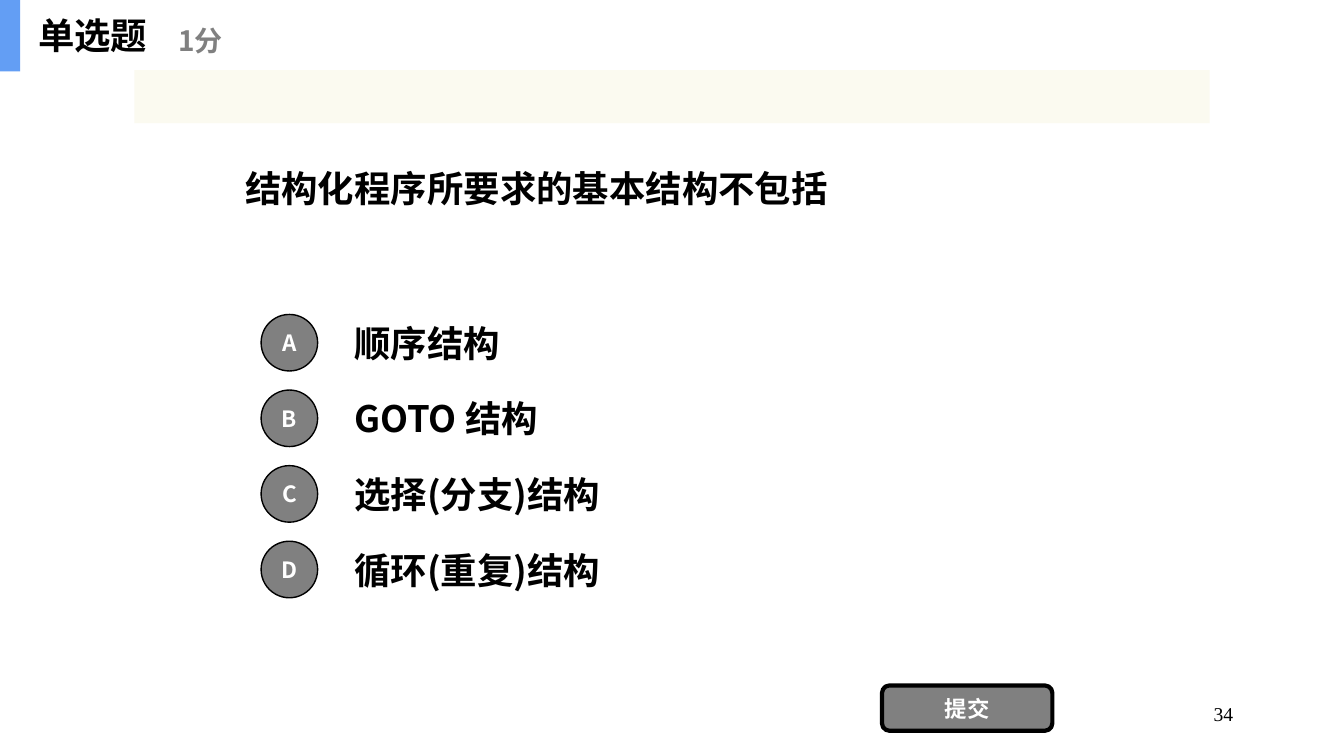
from dataclasses import dataclass

import lxml.etree
import pptx
import pptx.dml.color
import pptx.enum.shapes
import pptx.enum.text
import pptx.oxml.ns
import pptx.util

Pt = pptx.util.Pt
RGBColor = pptx.dml.color.RGBColor
Align = pptx.enum.text.PP_ALIGN
Preset = pptx.enum.shapes.MSO_SHAPE
qn = pptx.oxml.ns.qn

BLACK = RGBColor(0x00, 0x00, 0x00)
WHITE = RGBColor(0xFF, 0xFF, 0xFF)
GREY = RGBColor(0x80, 0x80, 0x80)
BLUE = RGBColor(0x63, 0x9E, 0xF4)
CREAM = RGBColor(0xFB, 0xFA, 0xEF)

HEADING_FONT = "Noto Sans CJK SC"
NUMBER_FONT = "Times New Roman"

OPTIONS = ["顺序结构", "GOTO 结构", "选择(分支)结构", "循环(重复)结构"]
OPTION_TOP = 219.6
OPTION_PITCH = 54
OPTION_HEIGHT = 50.4
BADGE_SIZE = 40.4


@dataclass(frozen=True)
class Box:
    left: float
    top: float
    width: float
    height: float

    def lengths(self) -> tuple:
        return Pt(self.left), Pt(self.top), Pt(self.width), Pt(self.height)


@dataclass(frozen=True)
class Label:
    box: Box
    text: str
    size: float = 26
    color: RGBColor = BLACK
    font: str = HEADING_FONT
    bold: bool = True
    align: Align = Align.LEFT


@dataclass(frozen=True)
class Panel:
    box: Box
    preset: Preset
    fill: RGBColor
    outline: float = 0
    text: str = ""
    opacity: int = 100


def write_text(frame, label: Label) -> None:
    frame.vertical_anchor = pptx.enum.text.MSO_ANCHOR.MIDDLE
    frame.text = label.text
    paragraph = frame.paragraphs[0]
    paragraph.alignment = label.align
    font = paragraph.runs[0].font
    font.size = Pt(label.size)
    font.bold = label.bold
    font.color.rgb = label.color
    font.name = label.font
    east_asian = lxml.etree.SubElement(font._element, qn("a:ea"))
    east_asian.set("typeface", label.font)


def draw_label(slide, label: Label) -> None:
    textbox = slide.shapes.add_textbox(*label.box.lengths())
    textbox.text_frame.word_wrap = True
    write_text(textbox.text_frame, label)


def draw_panel(slide, panel: Panel) -> None:
    shape = slide.shapes.add_shape(panel.preset, *panel.box.lengths())
    shape.shadow.inherit = False
    shape.fill.solid()
    shape.fill.fore_color.rgb = panel.fill
    if panel.opacity < 100:
        color = shape._element.spPr.find(qn("a:solidFill")).find(qn("a:srgbClr"))
        alpha = lxml.etree.SubElement(color, qn("a:alpha"))
        alpha.set("val", str(panel.opacity * 1000))
    if panel.outline:
        shape.line.color.rgb = BLACK
        shape.line.width = Pt(panel.outline)
    else:
        shape.line.fill.background()
    if panel.text:
        shape.text_frame.word_wrap = False
        caption = Label(panel.box, panel.text, 16, WHITE, align=Align.CENTER)
        write_text(shape.text_frame, caption)


def draw_options(slide) -> None:
    for index, (letter, answer) in enumerate(zip("ABCD", OPTIONS)):
        top = OPTION_TOP + index * OPTION_PITCH
        badge_top = top + (OPTION_HEIGHT - BADGE_SIZE) / 2
        draw_label(slide, Label(Box(246, top, 546, OPTION_HEIGHT), answer))
        badge = Box(186.5, badge_top, BADGE_SIZE, BADGE_SIZE)
        draw_panel(slide, Panel(badge, Preset.OVAL, GREY, 1, letter))


def main() -> None:
    presentation = pptx.Presentation()
    presentation.slide_width = Pt(960)
    presentation.slide_height = Pt(540)
    slide = presentation.slides.add_slide(presentation.slide_layouts[6])

    page_number = Label(
        Box(688, 492, 200, 36), "34", 14, BLACK, NUMBER_FONT, False, Align.RIGHT
    )
    question = Label(Box(168, 50, 624, 168.5), "结构化程序所要求的基本结构不包括")
    question_type = Label(Box(20.2, 0, 150, 50), "单选题")
    score = Label(Box(120.2, 8.6, 180, 40.4), "1分", 20, GREY)
    submit = Panel(
        Box(630, 489.6, 121.7, 32.4), Preset.ROUNDED_RECTANGLE, GREY, 3, "提交"
    )
    accent_bar = Panel(Box(0, 0, 14.4, 51), Preset.RECTANGLE, BLUE)
    hint_band = Panel(Box(96, 50, 768, 38), Preset.RECTANGLE, CREAM, opacity=90)

    draw_label(slide, page_number)
    draw_label(slide, question)
    draw_options(slide)
    draw_panel(slide, submit)
    draw_panel(slide, accent_bar)
    draw_label(slide, question_type)
    draw_label(slide, score)
    draw_panel(slide, hint_band)
    presentation.save("out.pptx")


if __name__ == "__main__":
    main()
